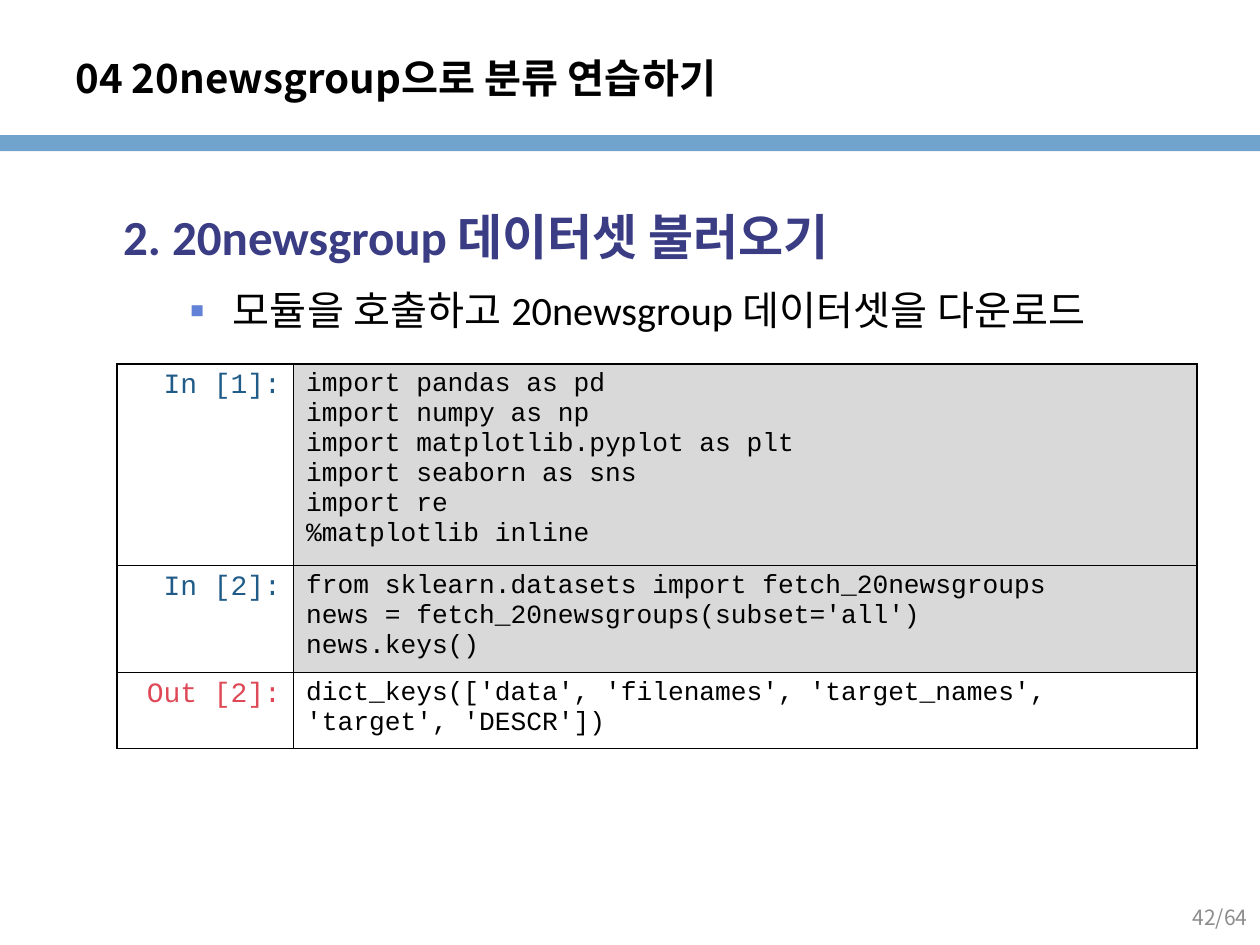
from lxml import etree
from pptx import Presentation
from pptx import util as u
from pptx.dml.color import RGBColor
from pptx.enum import shapes, text
from pptx.oxml import ns

C = {"bar": "71A4CC", "black": "000000", "heading": "3A3C84", "bullet": "6182D6",
     "in": "215C88", "out": "DF4857", "code": "D9D9D9", "page": "8C8C8C"}
SANS, BODY, MONO = "Noto Sans CJK KR", "Calibri", "Courier New"

prs = Presentation()
prs.slide_width, prs.slide_height = u.Inches(10), u.Inches(7.5)
W, H = prs.slide_width, prs.slide_height
s = prs.slides.add_slide(prs.slide_layouts[6])


def write(tf, words, size, font, color="black", bold=False, align="LEFT",
          spacing=None, before=0, left=0, indent=0, bullet=None, new=False):
    p = tf.add_paragraph() if new else tf.paragraphs[0]
    p.alignment = getattr(text.PP_ALIGN, align)
    p.space_before = u.Pt(before)
    if spacing:
        p.line_spacing = spacing
    pPr = p._p.get_or_add_pPr()
    pPr.set("marL", str(u.Inches(left)))
    pPr.set("indent", str(u.Inches(indent)))
    if bullet:
        clr = etree.SubElement(pPr, ns.qn("a:buClr"))
        etree.SubElement(clr, ns.qn("a:srgbClr"), val=C["bullet"])
        etree.SubElement(pPr, ns.qn("a:buFont"), typeface=SANS)
        etree.SubElement(pPr, ns.qn("a:buChar"), char=bullet)
    r = p.add_run()
    r.text = words
    r.font.size, r.font.name, r.font.bold = u.Pt(size), font, bold
    r.font.color.rgb = RGBColor.from_string(C[color])
    etree.SubElement(r._r.get_or_add_rPr(), ns.qn("a:ea"), typeface=font)


def box(x, y, w, h, anchor="TOP"):
    tf = s.shapes.add_textbox(int(W * x), int(H * y), int(W * w), int(H * h)).text_frame
    tf.word_wrap = True
    tf.vertical_anchor = getattr(text.MSO_ANCHOR, anchor)
    return tf


bar = s.shapes.add_shape(shapes.MSO_SHAPE.RECTANGLE, 0, int(H * 0.143), W, int(H * 0.017))
bar.shadow.inherit = False
bar.fill.solid()
bar.fill.fore_color.rgb = RGBColor.from_string(C["bar"])
bar.line.fill.background()

title = box(0.05, 0.04, 0.783, 0.083, "MIDDLE")
write(title, "04 20newsgroup으로 분류 연습하기", 23, SANS, bold=True)

body = box(0.05, 0.196, 0.9, 0.752)
write(body, "2. 20newsgroup 데이터셋 불러오기", 28, BODY, "heading", bold=True,
      spacing=1.25, left=0.38)
write(body, "모듈을 호출하고 20newsgroup 데이터셋을 다운로드", 23, BODY, spacing=1.25,
      before=4.6, left=1.25, indent=-0.44, bullet="▪", new=True)

cells = [
    ("In [1]:", "in", 1.52, ["import pandas as pd", "import numpy as np",
                             "import matplotlib.pyplot as plt", "import seaborn as sns",
                             "import re", "%matplotlib inline"]),
    ("In [2]:", "in", 0.81, ["from sklearn.datasets import fetch_20newsgroups",
                             "news = fetch_20newsgroups(subset='all')", "news.keys()"]),
    ("Out [2]:", "out", 0.57, ["dict_keys(['data', 'filenames', 'target_names', "
                               "'target', 'DESCR'])"]),
]
tbl = s.shapes.add_table(len(cells), 2, int(W * 0.093), int(H * 0.385),
                         int(W * 0.857), int(H * 0.387)).table
tbl.first_row = tbl.horz_banding = False
tbl.columns[0].width, tbl.columns[1].width = int(W * 0.14), int(W * 0.717)

for row, (label, kind, height, lines) in zip(tbl.rows, cells):
    row.height = u.Inches(height)
    prompt, code = row.cells
    write(prompt.text_frame, label, 16, MONO, kind, align="RIGHT")
    for i, line in enumerate(lines):
        write(code.text_frame, line, 15, MONO, new=i > 0)
    for cell in row.cells:
        tcPr = cell._tc.get_or_add_tcPr()
        for side in ("lnL", "lnR", "lnT", "lnB"):
            ln = etree.SubElement(tcPr, ns.qn("a:" + side), w=str(u.Pt(1)))
            fill = etree.SubElement(ln, ns.qn("a:solidFill"))
            etree.SubElement(fill, ns.qn("a:srgbClr"), val=C["black"])
        cell.fill.background()
    if kind == "in":
        code.fill.solid()
        code.fill.fore_color.rgb = RGBColor.from_string(C["code"])

page = box(0.767, 0.944, 0.233, 0.053, "MIDDLE")
write(page, "42/64", 12, SANS, "page", align="RIGHT")

prs.save("out.pptx")
